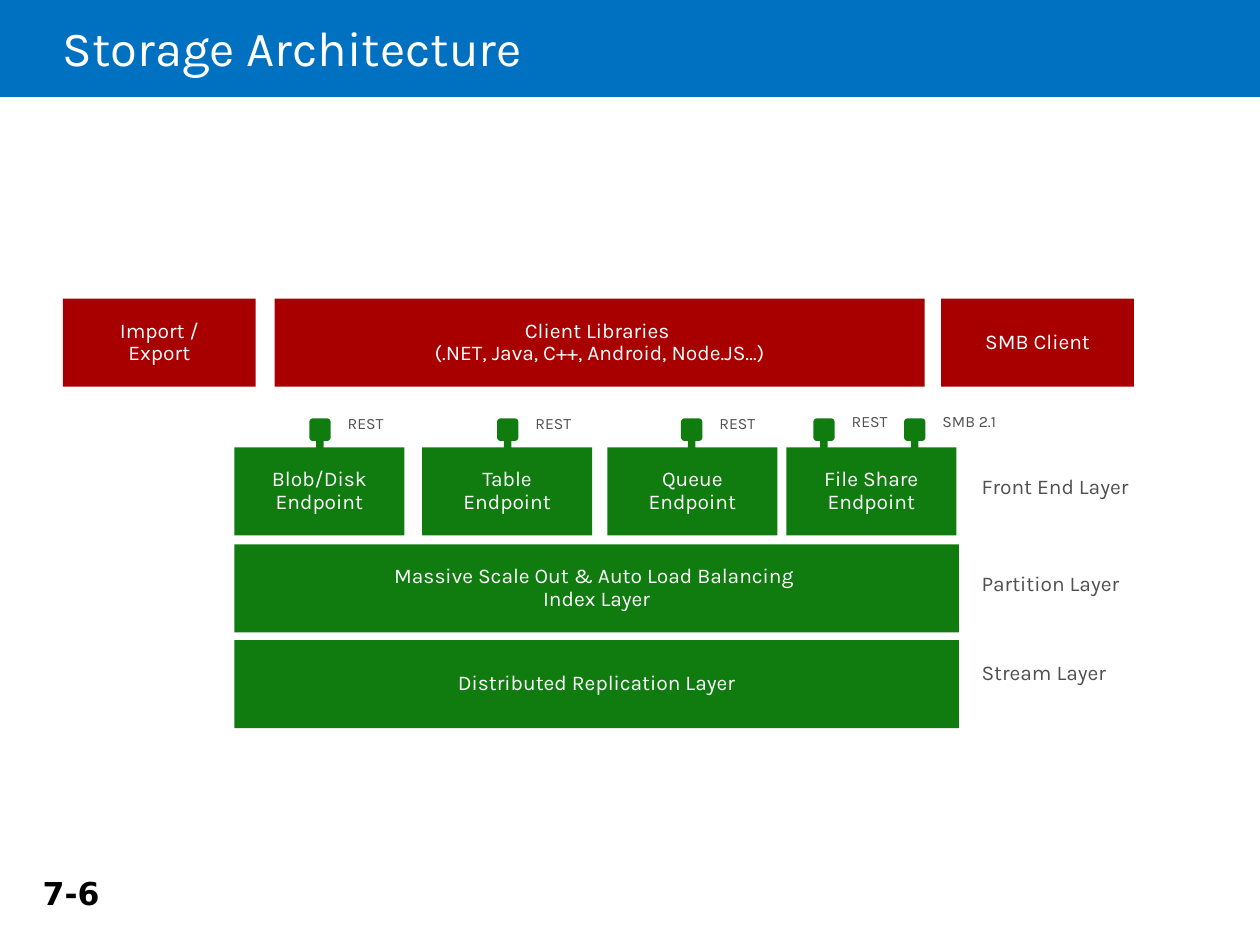
from pptx import Presentation
from pptx.dml.color import RGBColor
from pptx.enum.shapes import MSO_SHAPE
from pptx.enum.text import MSO_ANCHOR, PP_ALIGN
from pptx.util import Inches, Pt

COLORS = {
    "banner": "0070C0",
    "client": "A80000",
    "service": "107C10",
    "label": "505050",
    "white": "FFFFFF",
    "black": "000000",
}
BODY_FONT = "Karla"
CELL = 0.1  # the slide is a grid of 100 columns by 75 rows
BOX_ROWS = 7
ROOMY = (0.2, 0.16, 0.2, 0.16)

# Left column and name of each endpoint
ENDPOINTS = [(18.6, "Blob/Disk"), (33.5, "Table"), (48.2, "Queue"), (62.4, "File Share")]
# Centre column, label row, label width and protocol of each plug
PLUGS = [
    (25.4, 32.3, 7, "REST"),
    (40.3, 32.3, 7, "REST"),
    (54.9, 32.3, 7, "REST"),
    (65.4, 32.2, 7, "REST"),
    (72.6, 32.2, 8.7, "SMB 2.1"),
]
LAYER_NAMES = [(36.9, "Front End Layer"), (44.6, "Partition Layer"), (51.7, "Stream Layer")]


def color(name):
    return RGBColor.from_string(COLORS[name])


def grid(*cells):
    return [Inches(count * CELL) for count in cells]


def write(frame, paragraphs, ink, size, align=PP_ALIGN.LEFT, anchor=MSO_ANCHOR.TOP,
          insets=ROOMY, spacing=0.9, font=BODY_FONT, bold=False):
    """Fill a text frame; each paragraph is a list of lines."""
    frame.word_wrap = True
    frame.vertical_anchor = anchor
    (frame.margin_left, frame.margin_top,
     frame.margin_right, frame.margin_bottom) = map(Inches, insets)
    for index, lines in enumerate(paragraphs):
        paragraph = frame.add_paragraph() if index else frame.paragraphs[0]
        paragraph.alignment = align
        paragraph.line_spacing = spacing
        for number, line in enumerate(lines):
            if number:
                paragraph.add_line_break()
            run = paragraph.add_run()
            run.text = line
            run.font.name = font
            run.font.size = Pt(size)
            run.font.bold = bold
            run.font.color.rgb = color(ink)


def add_block(slide, cells, fill, preset=MSO_SHAPE.RECTANGLE):
    block = slide.shapes.add_shape(preset, *grid(*cells))
    block.shadow.inherit = False
    block.fill.solid()
    block.fill.fore_color.rgb = color(fill)
    block.line.fill.background()
    return block


def add_box(slide, left, top, width, fill, *paragraphs):
    box = add_block(slide, (left, top, width, BOX_ROWS), fill)
    write(box.text_frame, paragraphs, "white", 12, PP_ALIGN.CENTER, MSO_ANCHOR.MIDDLE)


def add_label(slide, cells, text, size, ink="label", **style):
    label = slide.shapes.add_textbox(*grid(*cells))
    write(label.text_frame, [[text]], ink, size, **style)


def add_plug(slide, centre):
    add_block(slide, (centre - 0.3, 33.8, 0.6, 2.4), "service")
    add_block(slide, (centre - 0.85, 33.2, 1.7, 1.8), "service", MSO_SHAPE.ROUNDED_RECTANGLE)


def main():
    deck = Presentation()
    deck.slide_width, deck.slide_height = grid(100, 75)
    slide = deck.slides.add_slide(deck.slide_layouts[6])

    # Title banner
    add_block(slide, (0, 0, 100, 7.7), "banner")
    add_label(slide, (5, 0, 85, 8.1), "Storage Architecture", 28, "white",
              anchor=MSO_ANCHOR.MIDDLE, insets=(0, 0.05, 0.1, 0.05), spacing=0.85)

    # Plugs go behind the endpoints they rise from
    for centre, *_ in PLUGS:
        add_plug(slide, centre)

    # Storage service layers
    add_box(slide, 18.6, 43.2, 57.5, "service",
            ["Massive Scale Out & Auto Load Balancing ", "Index Layer"])
    add_box(slide, 18.6, 50.8, 57.5, "service", ["Distributed Replication Layer"])
    for left, name in ENDPOINTS:
        add_box(slide, left, 35.5, 13.5, "service", [name], ["Endpoint"])

    # Clients
    add_box(slide, 5, 23.7, 15.3, "client", ["Import / Export"])
    add_box(slide, 21.8, 23.7, 51.6, "client",
            ["Client Libraries "], ["(.NET, Java, C++, Android, Node.JS…)"])
    add_box(slide, 74.7, 23.7, 15.3, "client", ["SMB Client"])

    # Protocol and layer labels
    for centre, top, width, protocol in PLUGS:
        add_label(slide, (centre + 0.2, top, width, 4.7), protocol, 9)
    for top, name in LAYER_NAMES:
        add_label(slide, (75.9, top, 19.1, 5), name, 12)

    # Page number
    add_label(slide, (2.4, 68.9, 10.5, 4), "7-6", 18, "black", spacing=1,
              insets=(0.1, 0.05, 0.1, 0.05), font="DejaVu Sans", bold=True)

    deck.save("out.pptx")


if __name__ == "__main__":
    main()
